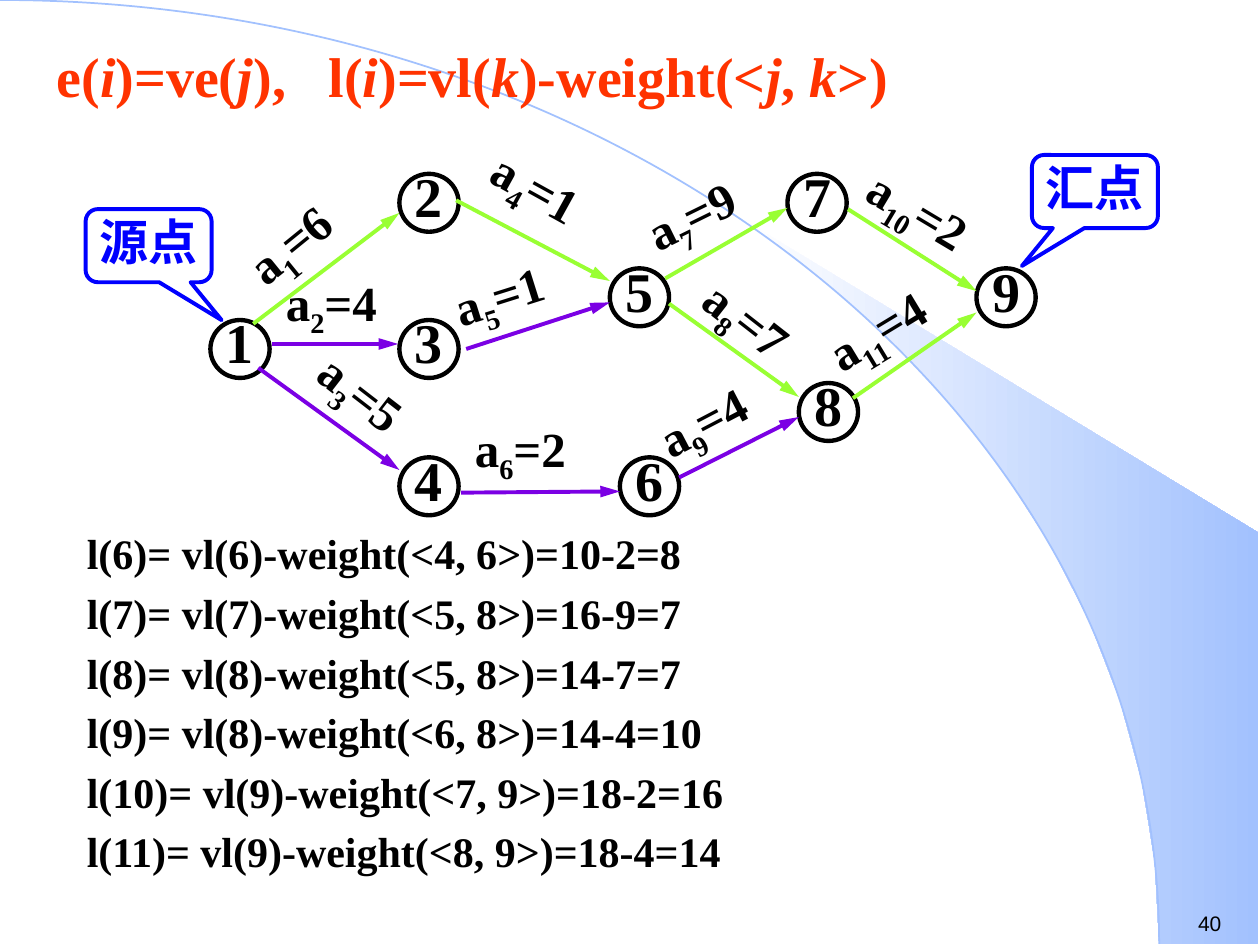
import math
from dataclasses import dataclass

import pptx
import pptx.dml.color
import pptx.enum.dml
import pptx.enum.shapes
import pptx.enum.text
import pptx.oxml
import pptx.oxml.ns
import pptx.util

Inches = pptx.util.Inches
Pt = pptx.util.Pt
qn = pptx.oxml.ns.qn
SHAPE = pptx.enum.shapes.MSO_SHAPE
ALIGN = pptx.enum.text.PP_ALIGN
ANCHOR = pptx.enum.text.MSO_ANCHOR


@dataclass(frozen=True)
class Theme:
    serif: str = "Times New Roman"
    sans: str = "Arial"
    ink: str = "000000"
    title: str = "FF3300"
    callout: str = "0000FF"
    critical: str = "99FF33"
    ordinary: str = "7B00E4"
    sweep: str = "A2C1FE"
    white: str = "FFFFFF"
    head_size: int = 32
    label_size: int = 28
    body_size: int = 24
    page_size: int = 12


THEME = Theme()

NODES = {
    4: (2.57, 2.43), 3: (2.57, 1.34), 6: (4.32, 2.43),
    2: (2.57, 0.18), 5: (4.24, 0.93), 1: (1.07, 1.34),
    9: (7.15, 0.93), 7: (5.65, 0.18), 8: (5.74, 1.84),
}
NODE_SIZE = (0.47, 0.46)
LABEL_SIZE = (1.42, 0.57)
CALLOUT_SIZE = (1, 0.58)

# activity, weight, label corner, label rotation, start, end, critical
EDGES = [
    (1, 6, (1.18, 0.29), -39.1, (1.41, 1.37), (2.57, 0.49), True),
    (8, 7, (4.82, 1.2), 38, (4.71, 1.21), (5.74, 1.95), True),
    (7, 9, (4.4, 0.11), -26.2, (4.68, 1.01), (5.65, 0.45), True),
    (6, 2, (3.07, 2.07), 0, (3.06, 2.71), (4.32, 2.7), False),
    (4, 1, (3.17, 0.12), 28.9, (3.02, 0.39), (4.24, 1.03), True),
    (5, 1, (2.89, 0.78), -17.6, (3.1, 1.57), (4.24, 1.2), False),
    (3, 5, (1.76, 1.78), 37.7, (1.45, 1.72), (2.57, 2.53), False),
    (2, 4, (1.57, 0.91), 0, (1.56, 1.53), (2.56, 1.53), False),
    (9, 4, (4.49, 1.74), -27.6, (4.79, 2.59), (5.74, 2.11), False),
    (11, 4, (5.82, 1.03), -31.2, (6.17, 1.96), (7.15, 1.28), True),
    (10, 2, (6.15, 0.28), 30.9, (6.13, 0.46), (7.15, 1.11), True),
]

CALLOUTS = [("汇点", (7.59, 0.03), -0.58), ("源点", (0.08, 0.46), 0.58)]

LATEST_STARTS = [
    "l(6)= vl(6)-weight(<4, 6>)=10-2=8",
    "l(7)= vl(7)-weight(<5, 8>)=16-9=7",
    "l(8)= vl(8)-weight(<5, 8>)=14-7=7",
    "l(9)= vl(8)-weight(<6, 8>)=14-4=10",
    "l(10)= vl(9)-weight(<7, 9>)=18-2=16",
    "l(11)= vl(9)-weight(<8, 9>)=18-4=14",
]


def rgb(value):
    return pptx.dml.color.RGBColor.from_string(value)


def set_font(p, size, color, name=THEME.serif, bold=True):
    p.font.name = name
    p.font.size = Pt(size)
    p.font.bold = bold
    p.font.color.rgb = rgb(color)


def add_child(parent, tag, **attributes):
    child = parent.makeelement(qn(tag), attributes)
    parent.append(child)
    return child


def add_text_box(slide, x, y, w, h):
    sp = slide.shapes.add_textbox(*map(Inches, (x, y, w, h)))
    sp.text_frame.word_wrap = True
    return sp


def add_outline(slide, kind, x, y, w, h, text, size, color, width, lift):
    sp = slide.shapes.add_shape(kind, *map(Inches, (x, y, w, h)))
    sp.shadow.inherit = False
    sp.fill.background()
    sp.line.color.rgb = rgb(color)
    sp.line.width = Pt(width)
    tf = sp.text_frame
    tf.word_wrap = False
    tf.vertical_anchor = ANCHOR.MIDDLE
    tf.margin_left = tf.margin_right = tf.margin_top = 0
    tf.margin_bottom = Inches(lift)
    p = tf.paragraphs[0]
    p.text = text
    p.alignment = ALIGN.CENTER
    set_font(p, size, color)
    return sp


def add_path(slide, points, close):
    points = [(Inches(x), Inches(y)) for x, y in points]
    fb = slide.shapes.build_freeform(*points[0])
    fb.add_line_segments(points[1:], close=close)
    sp = fb.convert_to_shape()
    sp.shadow.inherit = False
    return sp


def add_arrow(slide, start, end, color):
    line = slide.shapes.add_connector(
        pptx.enum.shapes.MSO_CONNECTOR.STRAIGHT, *map(Inches, start + end))
    line.line.color.rgb = rgb(color)
    line.line.width = Pt(2.25)
    add_child(line.line._get_or_add_ln(), "a:tailEnd",
              type="triangle", w="med", len="lg")
    add_child(line._element.spPr, "a:effectLst")


def add_background(slide, x, y, w, h):
    rx = w - 0.79
    angles = [math.radians(a) for a in range(40, 91, 5)]
    arc = [(x + rx * math.sin(a), y + h * (1 - math.cos(a))) for a in angles]
    band = add_path(slide, arc + [(x + w, y + h), (x + w, y + 4.23)], True)
    band.line.fill.background()
    band.fill.gradient()
    band.fill.gradient_angle = 0
    for stop, color in zip(band.fill.gradient_stops, (THEME.white, THEME.sweep)):
        stop.color.rgb = rgb(color)

    edge = add_path(slide, [(x, y), (x + rx, y + h)], False)
    edge.fill.background()
    edge.line.color.rgb = rgb(THEME.sweep)
    edge.line.width = Pt(1)
    chord = next(edge._element.iter(qn("a:lnTo")))
    outline = chord.getparent()
    outline.remove(chord)
    curve = add_child(outline, "a:cubicBezTo")
    for px, py in ((rx * 0.55, 0), (rx, h * 0.45), (rx, h)):
        add_child(curve, "a:pt", x=str(Inches(px)), y=str(Inches(py)))


def add_title(slide, x, y, w, h):
    p = add_text_box(slide, x, y, w, h).text_frame.paragraphs[0]
    tabs = add_child(p._p.get_or_add_pPr(), "a:tabLst")
    add_child(tabs, "a:tab", pos=str(Inches(2.16)), algn="l")
    set_font(p, THEME.head_size, THEME.title)
    formula = "e(*i*)=ve(*j*),\tl(*i*)=vl(*k*)-weight(<*j*, *k*>)"
    for n, part in enumerate(formula.split("*")):
        r = p.add_run()
        r.text = part
        r.font.italic = n % 2 == 1


def add_edge_label(slide, x, y, activity, weight, rotation):
    sp = add_text_box(slide, x, y, *LABEL_SIZE)
    sp.rotation = rotation
    p = sp.text_frame.paragraphs[0]
    set_font(p, THEME.label_size, THEME.ink)
    for text, offset in (("a", 0), (str(activity), -25000), (f"={weight}", 0)):
        r = p.add_run()
        r.text = text
        if offset:
            r.font._element.set("baseline", str(offset))


def add_network(slide, x, y):
    def at(point):
        return x + point[0], y + point[1]

    for number, corner in NODES.items():
        add_outline(slide, SHAPE.OVAL, *at(corner), *NODE_SIZE, str(number),
                    THEME.head_size, THEME.ink, 2.5, 0.12)
    for activity, weight, corner, rotation, start, end, critical in EDGES:
        add_edge_label(slide, *at(corner), activity, weight, rotation)
        add_arrow(slide, at(start), at(end),
                  THEME.critical if critical else THEME.ordinary)
    for text, corner, pointer in CALLOUTS:
        sp = add_outline(slide, SHAPE.ROUNDED_RECTANGULAR_CALLOUT, *at(corner),
                         *CALLOUT_SIZE, text, THEME.label_size,
                         THEME.callout, 2.25, 0.07)
        sp.adjustments[0] = pointer
        sp.adjustments[1] = 1.02


def add_derivation(slide, x, y, w, h):
    tf = add_text_box(slide, x, y, w, h).text_frame
    for n, text in enumerate(LATEST_STARTS):
        p = tf.add_paragraph() if n else tf.paragraphs[0]
        p.text = text
        p.line_spacing = 1.1
        if n:
            p.space_before = Pt(2.4)
        set_font(p, THEME.body_size, THEME.ink)


def add_page_number(slide, x, y, w, h):
    p = add_text_box(slide, x, y, w, h).text_frame.paragraphs[0]
    p.text = "40"
    set_font(p, THEME.page_size, THEME.ink, THEME.sans, False)


def main():
    prs = pptx.Presentation()
    prs.slide_width, prs.slide_height = Inches(10), Inches(7.5)
    slide = prs.slides.add_slide(prs.slide_layouts[6])
    add_background(slide, 0, 0, 9.99, 7.49)
    add_page_number(slide, 9.41, 7.18, 0.59, 0.3)
    add_derivation(slide, 0.59, 4.1, 5.98, 2.95)
    add_title(slide, 0.35, 0.28, 7.24, 0.63)
    add_network(slide, 0.6, 1.2)
    prs.save("out.pptx")


if __name__ == "__main__":
    main()
